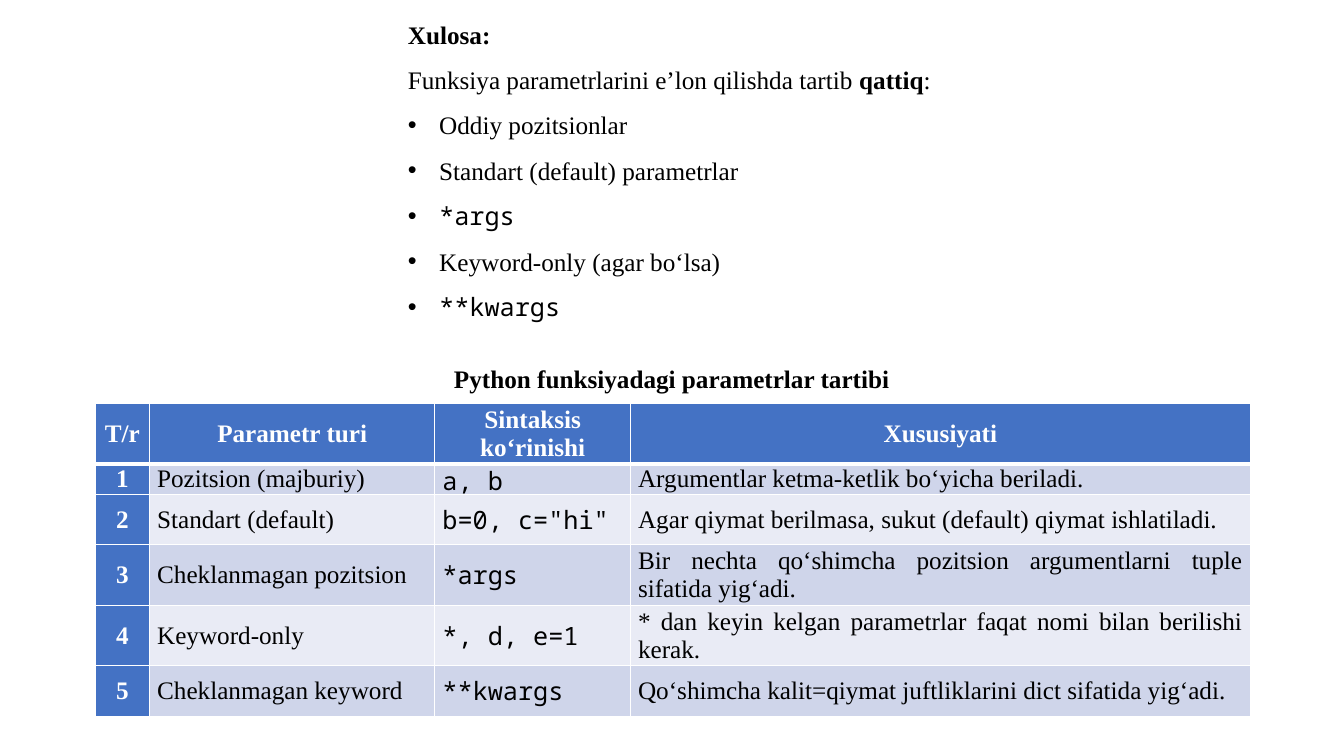
from lxml import etree
from pptx import Presentation
from pptx.dml.color import RGBColor
from pptx.enum.text import MSO_ANCHOR, MSO_AUTO_SIZE, PP_ALIGN
from pptx.oxml.ns import qn
from pptx.util import Cm, Pt

MIDDLE, TOP = MSO_ANCHOR.MIDDLE, MSO_ANCHOR.TOP
GROW = MSO_AUTO_SIZE.SHAPE_TO_FIT_TEXT
LEFT, CENTER, JUSTIFY = PP_ALIGN.LEFT, PP_ALIGN.CENTER, PP_ALIGN.JUSTIFY
SERIF, MONO = "Times New Roman", "Noto Sans Mono"
BLACK, WHITE, BLUE = "000000", "FFFFFF", "4472C4"
BANDS = ["CFD5EA", "E9EBF5"]

POINTS = [
    ("Oddiy pozitsionlar", SERIF),
    ("Standart (default) parametrlar", SERIF),
    ("*args", MONO),
    ("Keyword-only (agar bo‘lsa)", SERIF),
    ("**kwargs", MONO),
]
HEADS = ["T/r", "Parametr turi", "Sintaksis ko‘rinishi", "Xususiyati"]
ROWS = [
    ("Pozitsion (majburiy)", "a, b",
     "Argumentlar ketma-ketlik bo‘yicha beriladi."),
    ("Standart (default)", 'b=0, c="hi"',
     "Agar qiymat berilmasa, sukut (default) qiymat ishlatiladi."),
    ("Cheklanmagan pozitsion", "*args",
     "Bir nechta qo‘shimcha pozitsion argumentlarni tuple sifatida yig‘adi."),
    ("Keyword-only", "*, d, e=1",
     "* dan keyin kelgan parametrlar faqat nomi bilan berilishi kerak."),
    ("Cheklanmagan keyword", "**kwargs",
     "Qo‘shimcha kalit=qiymat juftliklarini dict sifatida yig‘adi."),
]
WIDTHS = [1.37, 7.19, 4.93, 15.62]
HEIGHTS = [1.27, 0.64, 1.27, 1.27, 1.27, 1.27]


def color(code):
    return RGBColor.from_string(code)


def add_run(para, text, font=SERIF, bold=False, ink=BLACK):
    run = para.add_run()
    run.text = text
    run.font.name = font
    run.font.size = Pt(18)
    run.font.bold = bold
    run.font.color.rgb = color(ink)


def add_bullet(para):
    props = para._p.get_or_add_pPr()
    props.set("marL", str(Cm(0.79)))
    props.set("indent", str(-Cm(0.79)))
    etree.SubElement(props, qn("a:buFont")).set("typeface", "Arial")
    etree.SubElement(props, qn("a:buChar")).set("char", "•")


def add_box(slide, left, top, width, height, anchor):
    box = slide.shapes.add_textbox(Cm(left), Cm(top), Cm(width), Cm(height))
    frame = box.text_frame
    frame.word_wrap = False
    frame.auto_size = GROW
    frame.vertical_anchor = anchor
    return frame


def add_summary(slide, left, top, width, height):
    frame = add_box(slide, left, top, width, height, MIDDLE)
    add_run(frame.paragraphs[0], "Xulosa:", bold=True)
    para = frame.add_paragraph()
    add_run(para, "Funksiya parametrlarini e’lon qilishda tartib ")
    add_run(para, "qattiq", bold=True)
    add_run(para, ":")
    for text, font in POINTS:
        para = frame.add_paragraph()
        add_bullet(para)
        add_run(para, text, font)
    for para in frame.paragraphs:
        para.line_spacing = 1.5


def add_title(slide, left, top, width, height):
    para = add_box(slide, left, top, width, height, TOP).paragraphs[0]
    para.alignment = CENTER
    add_run(para, "Python funksiyadagi parametrlar tartibi", bold=True)


def add_edges(cell, row):
    props = cell._tc.get_or_add_tcPr()
    sizes = {"L": 1, "R": 1, "T": 3 if row == 1 else 1, "B": 3 if row == 0 else 1}
    for side, size in sizes.items():
        line = etree.SubElement(props, qn("a:ln" + side), w=str(Pt(size)))
        fill = etree.SubElement(line, qn("a:solidFill"))
        etree.SubElement(fill, qn("a:srgbClr"), val=WHITE)


def fill_cell(cell, row, col, text):
    strong = row == 0 or col == 0
    cell.vertical_anchor = MIDDLE
    cell.margin_left = cell.margin_right = Cm(0.19)
    cell.margin_top = cell.margin_bottom = 0
    add_edges(cell, row)
    cell.fill.solid()
    cell.fill.fore_color.rgb = color(BLUE if strong else BANDS[(row - 1) % 2])
    para = cell.text_frame.paragraphs[0]
    para.alignment = CENTER if strong else JUSTIFY if col == 3 else LEFT
    font = MONO if col == 2 and not strong else SERIF
    add_run(para, text, font, strong, WHITE if strong else BLACK)


def add_grid(slide, left, top, width, height):
    data = [HEADS] + [(str(num), *row) for num, row in enumerate(ROWS, 1)]
    table = slide.shapes.add_table(
        len(data), len(HEADS), Cm(left), Cm(top), Cm(width), Cm(height)).table
    for col, size in zip(table.columns, WIDTHS):
        col.width = Cm(size)
    for row, size in zip(table.rows, HEIGHTS):
        row.height = Cm(size)
    for row, texts in enumerate(data):
        for col, text in enumerate(texts):
            fill_cell(table.cell(row, col), row, col, text)


def main():
    deck = Presentation()
    deck.slide_width, deck.slide_height = Cm(33.87), Cm(19.05)
    slide = deck.slides.add_slide(deck.slide_layouts[6])
    add_summary(slide, 10.03, 0, 13.82, 8.2)
    add_title(slide, 11.13, 9.02, 11.6, 1.03)
    add_grid(slide, 2.4, 10.17, sum(WIDTHS), sum(HEIGHTS))
    deck.save("out.pptx")


if __name__ == "__main__":
    main()
